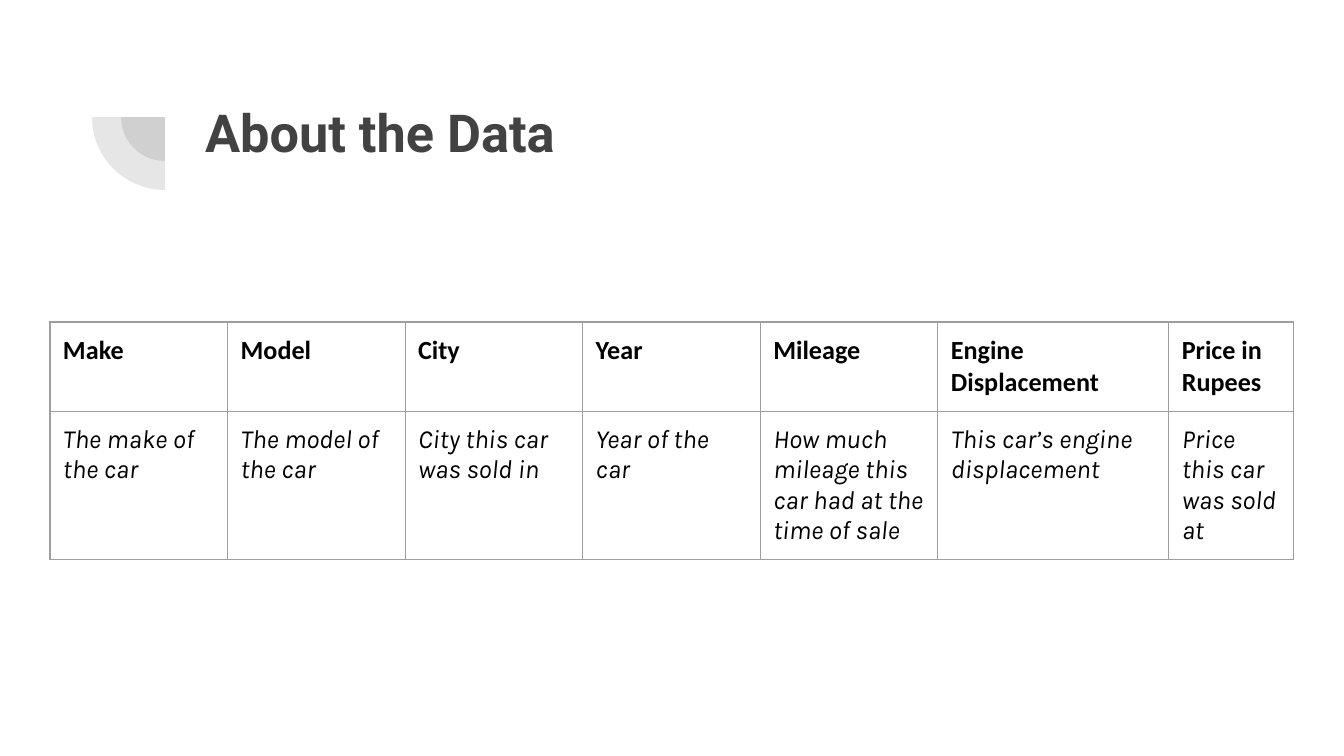
from lxml import etree
from pptx import Presentation
from pptx.dml.color import RGBColor
from pptx.enum.shapes import MSO_SHAPE as Shape
from pptx.enum.text import MSO_ANCHOR as Anchor, MSO_AUTO_SIZE as AutoSize, PP_ALIGN as Align
from pptx.oxml.ns import qn
from pptx.util import Pt

EMU_PER_PX = 914400 / 134.4
COLORS = {"dark": "424242", "text": "000000", "border": "9E9E9E"}
INSET = 13


def px(length):
    return round(length * EMU_PER_PX)


def format_run(run, font, size, color, bold=False, italic=False):
    run.font.name = font
    run.font.size = Pt(size)
    run.font.bold = bold
    run.font.italic = italic
    run.font.color.rgb = RGBColor.from_string(COLORS[color])


presentation = Presentation()
presentation.slide_width, presentation.slide_height = px(1344), px(756)
slide = presentation.slides.add_slide(presentation.slide_layouts[5])

# Overlapping quarter circles that share a corner
corner_x, corner_y = 165, 117
for radius in (44, 73):
    quarter = slide.shapes.add_shape(
        Shape.PIE, px(corner_x - radius), px(corner_y - radius), px(2 * radius), px(2 * radius))
    quarter.rotation = 270
    quarter.adjustments[0], quarter.adjustments[1] = 108, 162
    quarter.shadow.inherit = False
    quarter.line.fill.background()
    quarter.fill.solid()
    quarter.fill.fore_color.rgb = RGBColor.from_string(COLORS["dark"])
    color = quarter.fill._xPr.find(qn("a:solidFill"))[0]
    etree.SubElement(color, qn("a:alpha"), val="13000")

# Title
title = slide.shapes.title
title.left, title.top, title.width, title.height = px(192), px(87), px(1034), px(146)
text_frame = title.text_frame
text_frame.text = "About the Data"
text_frame.auto_size = AutoSize.NONE
text_frame.word_wrap = True
text_frame.vertical_anchor = Anchor.TOP
text_frame.margin_left = text_frame.margin_right = px(INSET)
text_frame.margin_top = text_frame.margin_bottom = px(INSET)
paragraph = text_frame.paragraphs[0]
paragraph.alignment = Align.LEFT
format_run(paragraph.runs[0], "Roboto", 28, "dark", bold=True)

# Table of fields: name, meaning, column width
fields = [
    ("Make", "The make of the car", 177.6),
    ("Model", "The model of the car", 177.6),
    ("City", "City this car was sold in", 177.6),
    ("Year", "Year of the car", 177.6),
    ("Mileage", "How much mileage this car had at the time of sale", 177.6),
    ("Engine Displacement", "This car’s engine displacement", 231),
    ("Price in Rupees", "Price this car was sold at", 125),
]
row_height = 56
table = slide.shapes.add_table(
    2, len(fields), px(50), px(322), px(1244), px(2 * row_height)).table
table.first_row = table.horz_banding = False
for row in table.rows:
    row.height = px(row_height)

for column_index, (name, meaning, width) in enumerate(fields):
    table.columns[column_index].width = px(width)
    for row_index, text in enumerate((name, meaning)):
        is_header = row_index == 0
        cell = table.cell(row_index, column_index)
        cell.text_frame.text = text
        cell.margin_left = cell.margin_right = px(INSET)
        cell.margin_top = cell.margin_bottom = px(INSET)
        cell.fill.background()
        format_run(cell.text_frame.paragraphs[0].runs[0], "Calibri" if is_header else "Karla",
                   14, "text", bold=is_header, italic=not is_header)
        # Cell borders come before the fill
        properties = cell._tc.get_or_add_tcPr()
        for position, side in enumerate(("lnL", "lnR", "lnT", "lnB")):
            border = etree.Element(qn(f"a:{side}"), w=str(Pt(0.75)))
            fill = etree.SubElement(border, qn("a:solidFill"))
            etree.SubElement(fill, qn("a:srgbClr"), val=COLORS["border"])
            properties.insert(position, border)

presentation.save("out.pptx")
